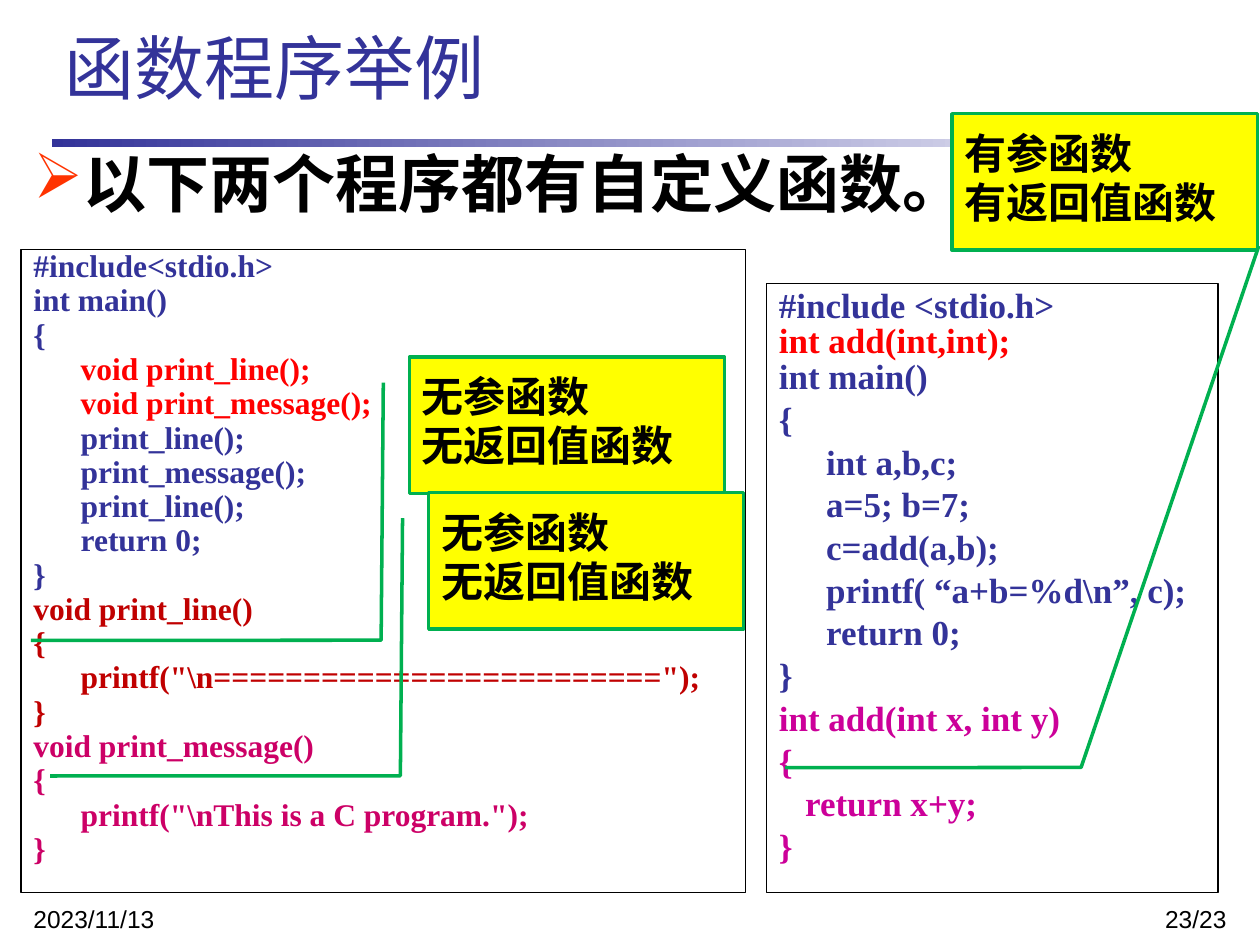
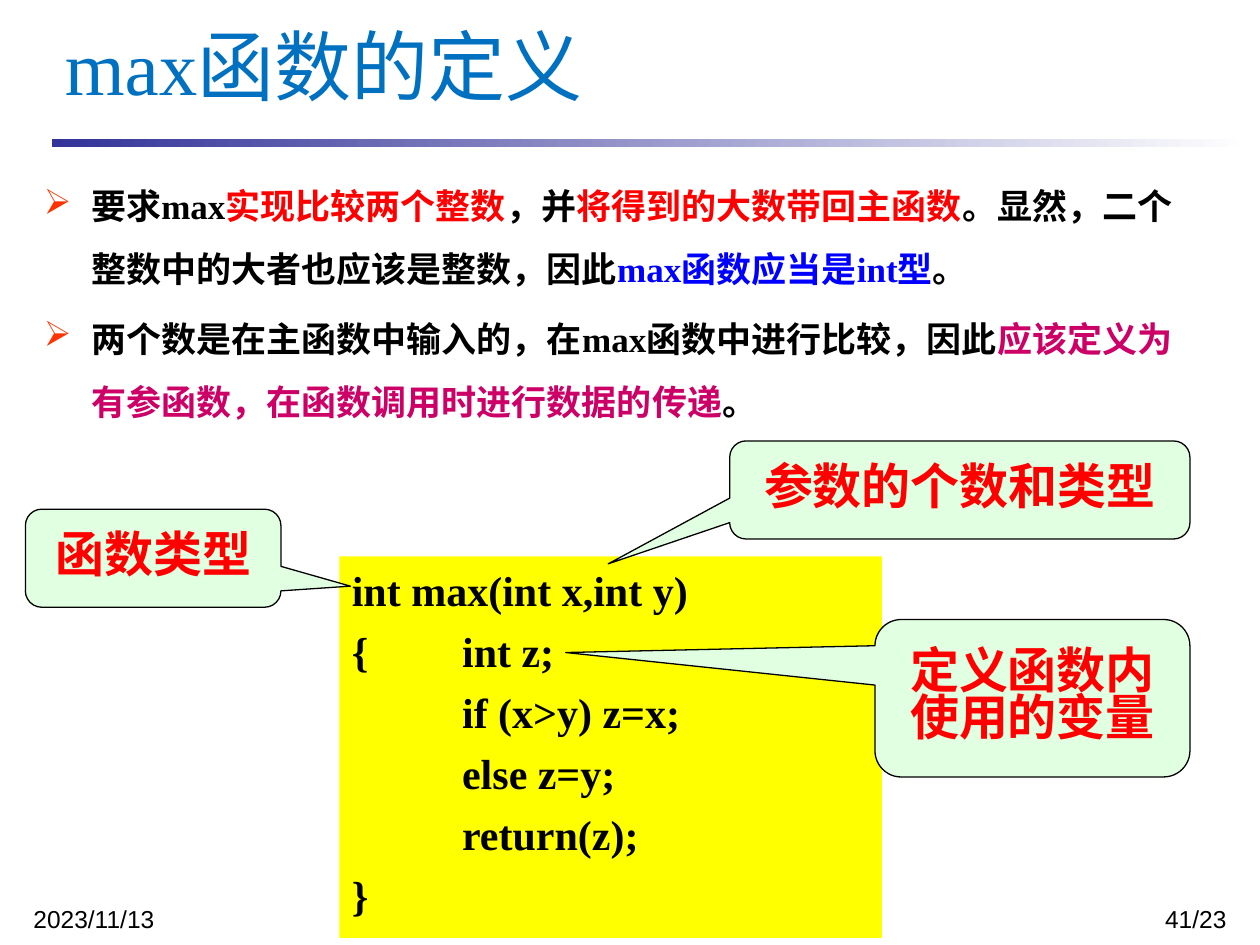
from lxml import etree
from pptx import Presentation
from pptx.dml.color import RGBColor
from pptx.enum.shapes import MSO_SHAPE
from pptx.enum.text import MSO_ANCHOR, PP_ALIGN
from pptx.oxml.ns import qn
from pptx.util import Pt

RECT = MSO_SHAPE.RECTANGLE
LINED = MSO_SHAPE.LINE_CALLOUT_2
WEDGE = MSO_SHAPE.ROUNDED_RECTANGULAR_CALLOUT
TOP, MID = MSO_ANCHOR.TOP, MSO_ANCHOR.MIDDLE
LEFT, RIGHT, CENTER = PP_ALIGN.LEFT, PP_ALIGN.RIGHT, PP_ALIGN.CENTER

NAVY = RGBColor(0x33, 0x33, 0x99)
SKY = RGBColor(0x00, 0x70, 0xC0)
BLUE = RGBColor(0x00, 0x00, 0xFF)
BLACK = RGBColor(0x00, 0x00, 0x00)
WHITE = RGBColor(0xFF, 0xFF, 0xFF)
RED = RGBColor(0xFF, 0x00, 0x00)
BRICK = RGBColor(0xC0, 0x00, 0x00)
ROSE = RGBColor(0xCC, 0x00, 0x66)
PLUM = RGBColor(0xCC, 0x00, 0x99)
GREEN = RGBColor(0x00, 0xB0, 0x50)
MINT = RGBColor(0xE1, 0xFF, 0xE1)
YELLOW = RGBColor(0xFF, 0xFF, 0x00)

SANS = "Noto Sans CJK SC"
SERIF = "Times New Roman"
HANG = 27


def draw(slide, kind, box, fill=None, line=None, width=0.75, adjust=()):
    """Add a preset shape, or a text box when kind is None."""
    box = [Pt(n) for n in box]
    if kind is None:
        return slide.shapes.add_textbox(*box)
    shape = slide.shapes.add_shape(kind, *box)
    shape.shadow.inherit = False
    for i, value in enumerate(adjust):
        shape.adjustments[i] = value
    if fill is None:
        shape.fill.background()
    else:
        shape.fill.solid()
        shape.fill.fore_color.rgb = fill
    if line is None:
        shape.line.fill.background()
    else:
        shape.line.color.rgb = line
        shape.line.width = Pt(width)
    return shape


def write(shape, paras, size, face, space, bold=True, align=LEFT, anchor=TOP,
          before=0.2, hang=0, bullet=None):
    """Fill a shape with paragraphs, each a list of (text, color) runs."""
    frame = shape.text_frame
    frame.word_wrap = True
    frame.vertical_anchor = anchor
    for i, runs in enumerate(paras):
        para = frame.paragraphs[0] if i == 0 else frame.add_paragraph()
        para.alignment = align
        para.line_spacing = space
        para.space_before = Pt(before * size)
        font = para.font
        font.size, font.name, font.bold = Pt(size), face, bold
        font.color.rgb = runs[0][1]
        props = para._p.get_or_add_pPr()
        base = props.find(qn("a:defRPr"))
        etree.SubElement(base, qn("a:ea")).set("typeface", SANS)
        if hang:
            props.set("marL", str(Pt(hang)))
            props.set("indent", str(-Pt(hang)))
        if bullet:
            tint = etree.Element(qn("a:buClr"))
            etree.SubElement(tint, qn("a:srgbClr")).set("val", "FF3300")
            mark = etree.Element(qn("a:buChar"))
            mark.set("char", bullet)
            base.addprevious(tint)
            base.addprevious(mark)
        for text, color in runs:
            run = para.add_run()
            run.text = text
            if color != runs[0][1]:
                run.font.color.rgb = color
    return frame


deck = Presentation()
deck.slide_width, deck.slide_height = Pt(720), Pt(540)

# Shared band, footer and title
pages = []
for title, size, face, color, space, number in [
    ("函数程序举例", 40, SANS, NAVY, 0.85, "23/23"),
    ("max函数的定义", 44, SERIF, SKY, 0.8, "41/23"),
]:
    slide = deck.slides.add_slide(deck.slide_layouts[6])
    pages.append(slide)
    band = draw(slide, RECT, (29.5, 79.7, 685, 4.5))
    band.fill.gradient()
    band.fill.gradient_angle = 0
    for stop, shade, place in zip(band.fill.gradient_stops, (NAVY, WHITE), (0, 1)):
        stop.color.rgb = shade
        stop.position = place
    for left, wide, text, align in [
        (12, 168, "2023/11/13", LEFT),
        (570, 138, number, RIGHT),
    ]:
        foot = draw(slide, None, (left, 516, wide, 13))
        write(foot, [[(text, BLACK)]], 14, "Arial", 0.8, bold=False, align=align)
    head = draw(slide, None, (30, 18, 672, 48))
    write(head, [[(title, color)]], size, face, space, bold=False, anchor=MID, before=0)

demo, max_page = pages

# Slide 1: lead sentence
lead = draw(demo, None, (12, 84, 696, 90))
write(lead, [[("以下两个程序都有自定义函数。", BLACK)]], 36, SANS, 0.9,
      hang=HANG, bullet="➢")

# Slide 1: program with a sum function
sum_code = [
    (NAVY, ["#include <stdio.h>"]),
    (RED, ["int add(int,int);"]),
    (NAVY, ["int main()", "{", "\tint a,b,c;", "\ta=5; b=7;", "\tc=add(a,b);",
            "\tprintf( “a+b=%d\\n”, c);", "\treturn 0;", "}"]),
    (PLUM, ["int add(int x, int y)", "{", "return x+y;", "}"]),
]
panel = draw(demo, RECT, (438, 162, 258, 348), line=BLACK)
paras = [[(text, color)] for color, lines in sum_code for text in lines]
frame = write(panel, paras, 20, SERIF, 0.85, hang=HANG)
for para in frame.paragraphs[:3]:
    para.space_before = Pt(0)
inner = frame.paragraphs[-2]._p.pPr
inner.set("marL", str(Pt(15)))
inner.set("indent", "0")

# Slide 1: program with two print functions
print_code = [
    (NAVY, ["#include<stdio.h>", "int main()", "{"]),
    (RED, ["\tvoid print_line();", "\tvoid print_message();"]),
    (NAVY, ["\tprint_line();", "\tprint_message();", "\tprint_line();",
            "\treturn 0;", "}"]),
    (BRICK, ["void print_line()", "{", '\tprintf("\\n' + "=" * 25 + '");', "}"]),
    (ROSE, ["void print_message()", "{", '\tprintf("\\nThis is a C program.");', "}"]),
]
panel = draw(demo, RECT, (12, 142.75, 414, 367.25), WHITE, BLACK)
paras = [[(text, color)] for color, lines in print_code for text in lines]
write(panel, paras, 18, SERIF, Pt(16), hang=HANG)

# Slide 1: yellow callouts
bent = (0.188, -0.083, 2.075, -0.09, 2.076, -1.202)
steep = (0.969, 1.005, 4.789, 0.423, 4.79, -0.547)
for left, top, wide, sign, adjust in [
    (234, 204, 180, "无", bent),
    (245, 281.5, 180, "无", bent),
    (544, 65, 174.5, "有", steep),
]:
    note = draw(demo, LINED, (left, top, wide, 78), YELLOW, GREEN, 2, adjust)
    paras = [[(sign + kind, BLACK)] for kind in ("参函数", "返回值函数")]
    write(note, paras, 24, SANS, 0.8, anchor=MID, hang=HANG)

# Slide 2: bullet points
points = [
    [("要求max", BLACK), ("实现比较两个整数", RED), ("，并", BLACK),
     ("将得到的大数带回主函数", RED),
     ("。显然，二个整数中的大者也应该是整数，因此", BLACK),
     ("max函数应当是int型", BLUE), ("。", BLACK)],
    [("两个数是在主函数中输入的，在max函数中进行比较，因此", BLACK),
     ("应该定义为有参函数，在函数调用时进行数据的传递", ROSE), ("。", BLACK)],
]
body = draw(max_page, None, (18, 90, 678, 402))
write(body, points, 20, SERIF, 1.5, hang=HANG, bullet="➢")

# Slide 2: max function code
max_code = ["int max(int x,int y)", "{\t\tint z;", "\t\tif (x>y) z=x;",
            "\t\telse z=y;", "\t\treturn(z);", "}"]
panel = draw(max_page, RECT, (194, 318, 310, 218), YELLOW)
write(panel, [[(text, BLACK)] for text in max_code], 24, SERIF, Pt(30), hang=HANG)

# Slide 2: green callouts
for box, tip, text in [
    ((417, 252, 263, 56), (-0.764, 0.754), "参数的个数和类型"),
    ((14.5, 291, 146, 56), (0.772, 0.285), "函数类型"),
    ((500, 354, 180, 90), (-1.482, -0.29), "定义函数内使用的变量"),
]:
    note = draw(max_page, WEDGE, box, MINT, BLACK, adjust=(*tip, 0.167))
    write(note, [[(text, RED)]], 28, SANS, 0.8, align=CENTER, anchor=MID)

deck.save("out.pptx")
